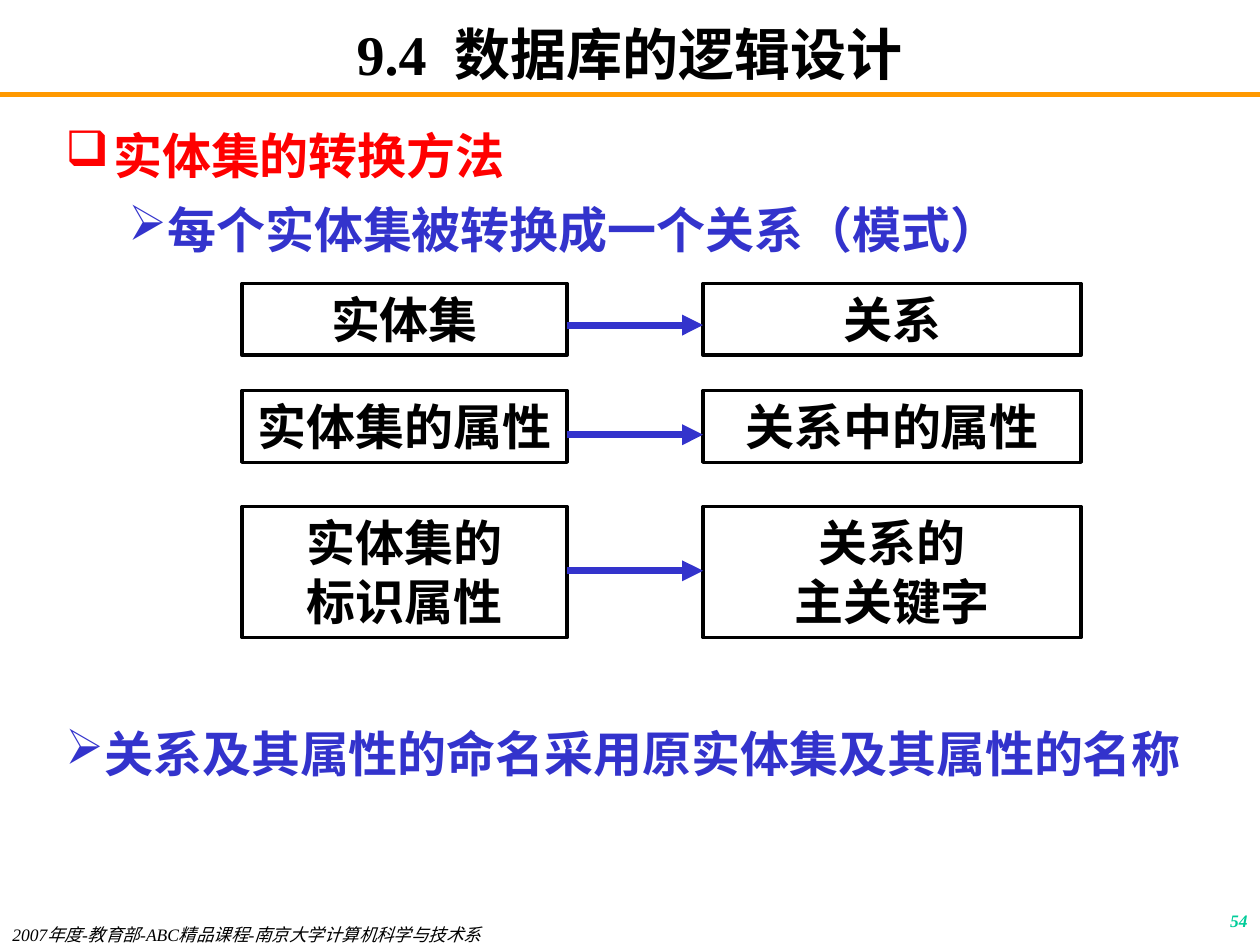
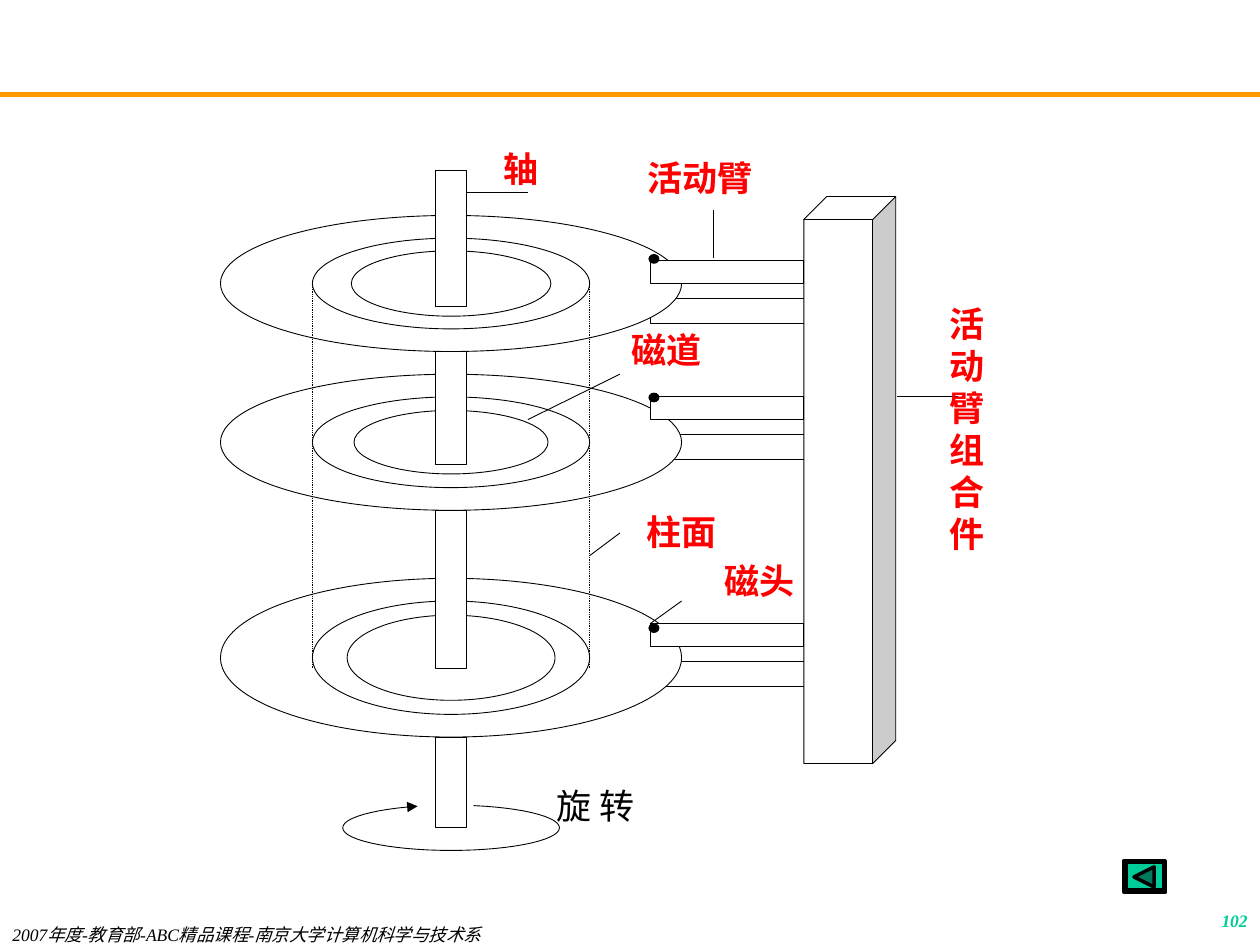
from math import cos, radians, sin
from typing import NamedTuple

from lxml import etree
from pptx import Presentation
from pptx.dml.color import RGBColor
from pptx.enum.dml import MSO_LINE
from pptx.enum.shapes import MSO_CONNECTOR, MSO_SHAPE
from pptx.enum.text import MSO_ANCHOR, PP_ALIGN
from pptx.oxml.ns import qn
from pptx.util import Inches, Pt

RECT, OVAL, CUBE, BEVEL = (MSO_SHAPE.RECTANGLE, MSO_SHAPE.OVAL,
                           MSO_SHAPE.CUBE, MSO_SHAPE.BEVEL)
LEFT, MID, RIGHT = PP_ALIGN.LEFT, PP_ALIGN.CENTER, PP_ALIGN.RIGHT
TOP, CENTRE = MSO_ANCHOR.TOP, MSO_ANCHOR.MIDDLE
DOTS = MSO_LINE.ROUND_DOT
STRAIGHT = MSO_CONNECTOR.STRAIGHT

HUES = {"black": "000000", "white": "FFFFFF", "red": "FF0000", "blue": "3333CC",
        "band": "FF9900", "green": "00CC99", "dark": "007A5C"}
LATIN, ASIAN = "Times New Roman", "Noto Sans CJK SC"
FOOTER = "2007年度-教育部-ABC精品课程-南京大学计算机科学与技术系"
THIN = 0.5


class Box(NamedTuple):
    x: float
    y: float
    w: float
    h: float


class Style(NamedTuple):
    size: float
    hue: str = "black"
    bold: bool = True
    slant: bool = False


class Point(NamedTuple):
    text: str
    hue: str
    mark: str
    left: float
    hang: float


class Label(NamedTuple):
    text: str
    box: Box
    align: PP_ALIGN = LEFT
    top: float = 0
    style: Style = Style(20, "red")


class Row(NamedTuple):
    source: list[str]
    target: list[str]
    y: float
    h: float
    arrow: float


class Disk(NamedTuple):
    y: float
    h: float
    hole: float
    arm: float
    head: float


# Shared drawing functions
def tint(name: str) -> RGBColor:
    return RGBColor.from_string(HUES[name])


def add_run(para, text: str, style: Style) -> None:
    run = para.add_run()
    run.text = text
    font = run.font
    font.name, font.size = LATIN, Pt(style.size)
    font.bold, font.italic = style.bold, style.slant
    font.color.rgb = tint(style.hue)
    latin = run._r.rPr.find(qn("a:latin"))
    ea = etree.Element(qn("a:ea"), typeface=ASIAN)
    latin.addnext(ea)


def set_frame(frame, x: float = 0.1, top: float = 0.05, base: float = 0.05,
              anchor: MSO_ANCHOR = TOP) -> None:
    frame.word_wrap = True
    frame.vertical_anchor = anchor
    frame.margin_left = frame.margin_right = Inches(x)
    frame.margin_top, frame.margin_bottom = Inches(top), Inches(base)


def fill_lines(frame, lines: list[str], style: Style, align: PP_ALIGN) -> None:
    for i, line in enumerate(lines):
        para = frame.add_paragraph() if i else frame.paragraphs[0]
        para.alignment = align
        add_run(para, line, style)


def add_text(slide, box: Box, text: str, style: Style, align: PP_ALIGN = LEFT,
             x: float = 0.1, top: float = 0.05, base: float = 0.05) -> None:
    frame = slide.shapes.add_textbox(*map(Inches, box)).text_frame
    set_frame(frame, x, top, base)
    fill_lines(frame, [text], style, align)


def paint(shape, fill: str | None, width: float) -> None:
    shape.shadow.inherit = False
    if fill:
        shape.fill.solid()
        shape.fill.fore_color.rgb = tint(fill)
    else:
        shape.fill.background()
    shape.line.color.rgb = tint("black")
    shape.line.width = Pt(width)


def add_form(slide, kind: MSO_SHAPE, box: Box, fill: str | None = "white",
             width: float = THIN):
    shape = slide.shapes.add_shape(kind, *map(Inches, box))
    paint(shape, fill, width)
    return shape


def add_free(slide, dots: list[tuple[float, float]], fill: str | None = None,
             width: float = THIN):
    pen = slide.shapes.build_freeform(*map(Inches, dots[0]), scale=1.0)
    pen.add_line_segments([(Inches(x), Inches(y)) for x, y in dots[1:]],
                          close=fill is not None)
    shape = pen.convert_to_shape()
    paint(shape, fill, width)
    return shape


def add_tip(shape) -> None:
    etree.SubElement(shape.line._get_or_add_ln(), qn("a:tailEnd"), type="triangle")


def add_line(slide, x1: float, y1: float, x2: float, y2: float,
             hue: str = "black", width: float = THIN):
    line = slide.shapes.add_connector(STRAIGHT, *map(Inches, (x1, y1, x2, y2)))
    line.line.color.rgb = tint(hue)
    line.line.width = Pt(width)
    etree.SubElement(line._element.spPr, qn("a:effectLst"))
    return line


def add_points(slide, box: Box, points: list[Point]) -> None:
    frame = slide.shapes.add_textbox(*map(Inches, box)).text_frame
    set_frame(frame)
    for i, point in enumerate(points):
        para = frame.add_paragraph() if i else frame.paragraphs[0]
        para.line_spacing, para.space_before = 1.05, Pt(7)
        add_run(para, point.text, Style(28, point.hue))
        props = para._p.get_or_add_pPr()
        props.set("marL", str(Inches(point.left)))
        props.set("indent", str(-Inches(point.hang)))
        clr = etree.SubElement(props, qn("a:buClr"))
        etree.SubElement(clr, qn("a:srgbClr"), val=HUES[point.hue])
        etree.SubElement(props, qn("a:buChar"), char=point.mark)


def add_base(deck, layout: int, page: str):
    slide = deck.slides.add_slide(deck.slide_layouts[layout])
    add_line(slide, 0, 0.75, 10, 0.75, "band", 3)
    add_text(slide, Box(7.92, 7.17, 2.08, 0.33), page,
             Style(10, "green", slant=True), RIGHT)
    add_text(slide, Box(0, 7.33, 5.5, 0.17), FOOTER,
             Style(10, bold=False, slant=True), top=0, base=0)
    return slide


# Slide on turning entity sets into relations
ROWS = [
    Row(["实体集"], ["关系"], 2.25, 0.57, 2.58),
    Row(["实体集的属性"], ["关系中的属性"], 3.1, 0.57, 3.45),
    Row(["实体集的", "标识属性"], ["关系的", "主关键字"], 4.02, 1.04, 4.53),
]


def set_title(slide, parts: list[str]) -> None:
    title = slide.shapes.title
    title.left, title.top, title.width, title.height = map(
        Inches, Box(0.75, 0.17, 8.5, 0.5))
    frame = title.text_frame
    set_frame(frame, top=0, base=0, anchor=CENTRE)
    para = frame.paragraphs[0]
    para.alignment = MID
    for part in parts:
        add_run(para, part, Style(32))


def draw_map(deck) -> None:
    slide = add_base(deck, 5, "54")
    set_title(slide, ["9.4  ", "数据库的逻辑设计"])
    add_points(slide, Box(0.42, 0.92, 9.25, 1.25), [
        Point("实体集的转换方法", "red", "❑", 0.38, 0.38),
        Point("每个实体集被转换成一个关系（模式）", "blue", "➢", 0.81, 0.31)])
    for row in ROWS:
        for x, w, lines in ((1.92, 2.58, row.source), (5.58, 3, row.target)):
            cell = add_form(slide, RECT, Box(x, row.y, w, row.h), None, 2)
            set_frame(cell.text_frame)
            fill_lines(cell.text_frame, lines, Style(28), MID)
        add_tip(add_line(slide, 4.5, row.arrow, 5.58, row.arrow, "blue", 4))
    add_points(slide, Box(0.42, 5.67, 9.25, 1.17), [
        Point("关系及其属性的命名采用原实体集及其属性的名称", "blue", "➢", 0.31, 0.31)])


# Slide on the parts of a disk drive
AXIS = 3.58
DISKS = [
    Disk(1.71, 1.08, 0.72, 2.07, 2.02),
    Disk(2.97, 1.08, 0.7, 3.15, 3.12),
    Disk(4.59, 1.26, 0.75, 4.95, 4.95),
]
SHAFTS = [(1.35, 1.08), (2.79, 0.9), (4.05, 1.26), (5.85, 0.72)]
LEADS = [(5.66, 2.05, 5.66, 1.67), (4.92, 2.97, 4.19, 3.33),
         (4.68, 4.41, 4.92, 4.23), (3.7, 1.53, 4.19, 1.53),
         (7.12, 3.15, 7.6, 3.15), (5.41, 4.77, 5.16, 4.95)]
LABELS = [
    Label("轴", Box(3.94, 1.17, 0.73, 0.54)),
    Label("活动臂", Box(5.08, 1.24, 1.58, 0.76)),
    Label("磁道", Box(4.68, 2.61, 1.22, 0.54), MID),
    Label("柱面", Box(4.68, 4.05, 1.46, 0.54), MID),
    Label("磁头", Box(5.3, 4.39, 1.46, 0.54), MID, 0.05),
    Label("活动臂组合件", Box(7.48, 2.07, 0.6, 2.88), top=0.33),
    Label("旋 转", Box(4.36, 6.23, 1.22, 0.39), style=Style(20, bold=False)),
]


def add_oval(slide, mid: float, w: float, h: float) -> None:
    add_form(slide, OVAL, Box(AXIS - w / 2, mid - h / 2, w, h))


def draw_drive(deck) -> None:
    slide = add_base(deck, 6, "102")
    # Rear arms lie behind the disks
    for disk in DISKS:
        add_form(slide, RECT, Box(5.16, disk.arm + 0.3, 1.43, 0.2))
    # Each disk holds a track between two ovals
    for disk in DISKS:
        mid, ring = disk.y + disk.h / 2, disk.h - 0.36
        add_oval(slide, mid, 3.66, disk.h)
        add_oval(slide, mid, 2.2, ring)
        add_oval(slide, mid, 2.2 * disk.hole, ring * disk.hole)
    # Cylinder sides and shaft
    for x in (2.48, 4.68):
        add_line(slide, x, 2.25, x, 5.31).line.dash_style = DOTS
    for y, h in SHAFTS:
        add_form(slide, RECT, Box(3.46, y, 0.24, h))
    # Turning arrow
    turn = [radians(a) for a in range(-78, 257, 6)]
    add_tip(add_free(slide, [(AXIS + 0.86 * cos(t), 6.57 + 0.18 * sin(t))
                             for t in turn]))
    # Arm block, front arms and heads
    add_form(slide, CUBE, Box(6.38, 1.56, 0.73, 4.5))
    for disk in DISKS:
        add_form(slide, RECT, Box(5.16, disk.arm, 1.22, 0.18))
        add_form(slide, OVAL, Box(5.15, disk.head, 0.08, 0.07), "black")
    # Leader lines and labels
    for lead in LEADS:
        add_line(slide, *lead)
    for tag in LABELS:
        add_text(slide, tag.box, tag.text, tag.style, tag.align,
                 0.06, tag.top, tag.top and 0.05)
    # Back button
    key = add_form(slide, BEVEL, Box(8.92, 6.83, 0.33, 0.25), "green", 2)
    key.adjustments[0] = 0.06
    add_free(slide, [(9, 6.96), (9.16, 6.88), (9.16, 7.04)], "dark", 2)


def main() -> None:
    deck = Presentation()
    deck.slide_width, deck.slide_height = Inches(10), Inches(7.5)
    draw_map(deck)
    draw_drive(deck)
    deck.save("out.pptx")


if __name__ == "__main__":
    main()
